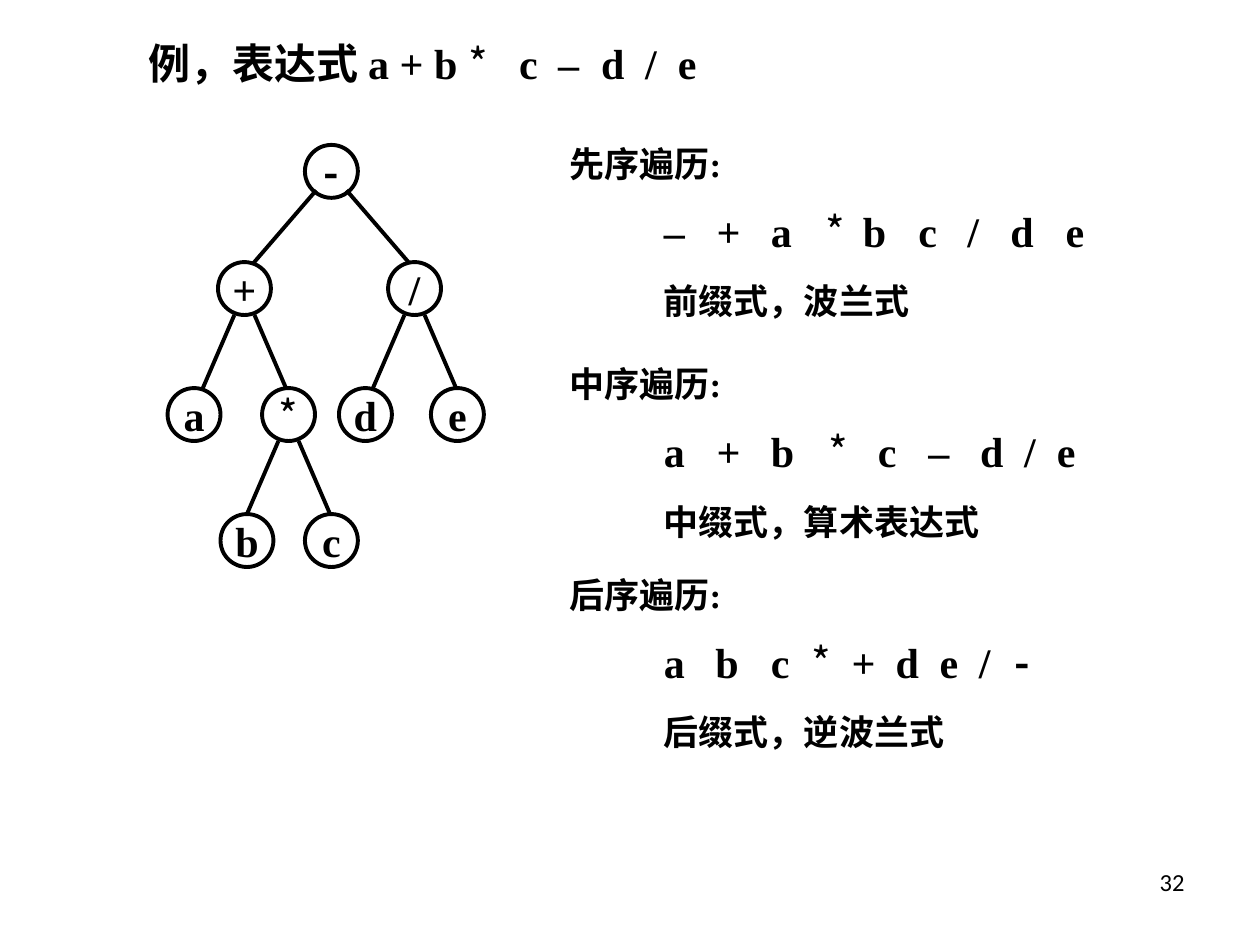
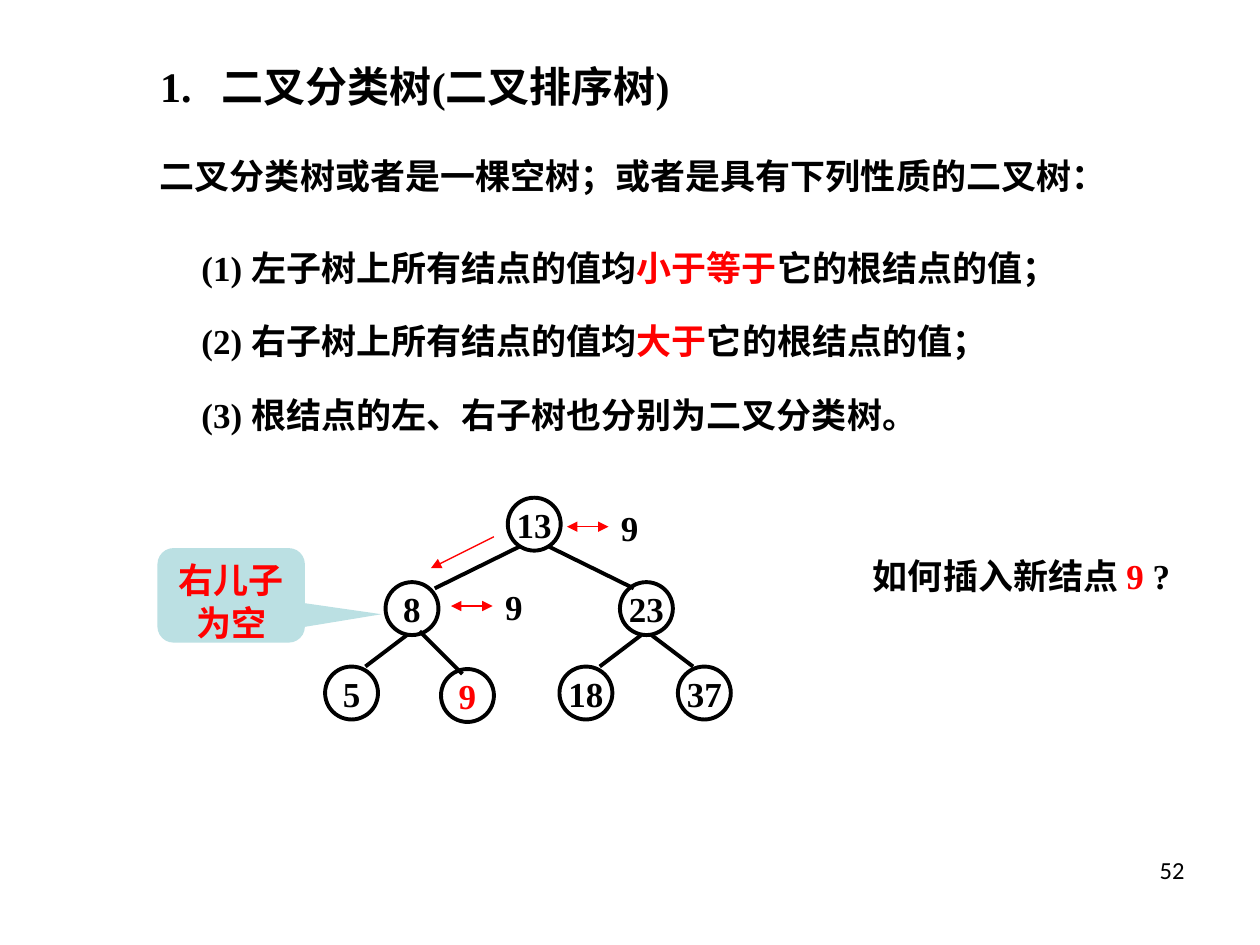
"""Build two slides on binary trees: expression traversals and binary sort trees."""
from dataclasses import dataclass

from lxml.etree import SubElement
from pptx import Presentation
from pptx.dml.color import RGBColor
from pptx.enum.shapes import MSO_CONNECTOR, MSO_SHAPE
from pptx.enum.text import MSO_ANCHOR, MSO_AUTO_SIZE, PP_ALIGN
from pptx.oxml.ns import qn
from pptx.util import Inches, Pt


@dataclass(frozen=True)
class Theme:
    ink: RGBColor = RGBColor(0, 0, 0)
    accent: RGBColor = RGBColor(255, 0, 0)
    paper: RGBColor = RGBColor(255, 255, 255)
    callout: RGBColor = RGBColor(0xBB, 0xE0, 0xE3)
    serif: str = "Times New Roman"
    sans: str = "Noto Sans CJK SC"
    number_font: str = "Calibri"
    title_size: int = 24
    body_size: int = 20
    number_size: int = 14
    tree_line: float = 2.25
    pointer_line: float = 0.75
    node_size: float = 0.42


THEME = Theme()
SANS = {"name": THEME.sans}
STAR = ("*", {"name": THEME.sans, "bold": False})
MINUS = ("-", SANS)
RED = {"color": THEME.accent}


def assign(target, values):
    for key, value in values.items():
        setattr(target, key, value)


def inches(*lengths):
    return [Inches(length) for length in lengths]


class Deck:
    def __init__(self, theme):
        self.theme = theme
        self.deck = Presentation()
        assign(self.deck, {"slide_width": Inches(10), "slide_height": Inches(7.5)})
        self.slide = None

    def start(self, title, title_box, number, number_top, stops=()):
        self.slide = self.deck.slides.add_slide(self.deck.slide_layouts[5])
        fill = self.slide.background.fill
        fill.solid()
        fill.fore_color.rgb = self.theme.paper
        heading = self.slide.shapes.title
        assign(heading, dict(zip(("left", "top", "width", "height"), inches(*title_box))))
        self.fill_text(heading, title, self.theme.title_size, stops=stops)
        self.text([(number, {"name": self.theme.number_font, "bold": False})],
                  (7.17, number_top, 2.33, 0.52), self.theme.number_size, PP_ALIGN.RIGHT)

    def fill_text(self, holder, runs, size, align=PP_ALIGN.LEFT, stops=(), **frame_format):
        frame = holder.text_frame
        assign(frame, {"word_wrap": True, "auto_size": MSO_AUTO_SIZE.NONE,
                       "vertical_anchor": MSO_ANCHOR.TOP, **frame_format})
        paragraph = frame.paragraphs[0]
        paragraph.alignment = align
        if stops:
            tabs = SubElement(paragraph._p.get_or_add_pPr(), qn("a:tabLst"))
            for stop in stops:
                SubElement(tabs, qn("a:tab"), pos=str(Inches(stop)), algn="l")
        for item in runs:
            words, changes = (item, {}) if isinstance(item, str) else item
            values = {"name": self.theme.serif, "size": Pt(size), "bold": True,
                      "color": self.theme.ink, **changes}
            run = paragraph.add_run()
            run.text = words
            run.font.color.rgb = values.pop("color")
            assign(run.font, values)
            SubElement(run._r.get_or_add_rPr(), qn("a:ea"), typeface=self.theme.sans)

    def text(self, runs, box, size=THEME.body_size, align=PP_ALIGN.LEFT, stops=()):
        holder = self.slide.shapes.add_textbox(*inches(*box))
        self.fill_text(holder, runs, size, align, stops)

    def line(self, start, end, color=THEME.ink, width=THEME.tree_line, ends=()):
        connector = self.slide.shapes.add_connector(
            MSO_CONNECTOR.STRAIGHT, *inches(*start, *end))
        connector.line.color.rgb = color
        connector.line.width = Pt(width)
        properties = connector._element.spPr
        for end_name in ends:
            SubElement(properties.find(qn("a:ln")), qn(f"a:{end_name}"), type="triangle")
        SubElement(properties, qn("a:effectLst"))

    def pointer(self, start, end, ends):
        self.line(start, end, self.theme.accent, self.theme.pointer_line, ends)

    def node(self, label, center, size):
        diameter = self.theme.node_size
        left, top = (middle - diameter / 2 for middle in center)
        circle = self.slide.shapes.add_shape(
            MSO_SHAPE.OVAL, *inches(left, top, diameter, diameter))
        circle.shadow.inherit = False
        circle.fill.background()
        circle.line.color.rgb = self.theme.ink
        circle.line.width = Pt(self.theme.tree_line)
        self.fill_text(circle, [label], size, PP_ALIGN.CENTER, word_wrap=False,
                       vertical_anchor=MSO_ANCHOR.MIDDLE, margin_left=0, margin_right=0,
                       margin_top=0, margin_bottom=0)

    def tree(self, nodes, branches, size):
        for label, center in nodes.values():
            self.node(label, center, size)
        for parent, sides, (offset, depth, run, drop) in branches:
            x, y = nodes[parent][1]
            for side in sides:
                start = (x + side * offset, y + depth)
                self.line(start, (start[0] + side * run, start[1] + drop))

    def callout(self, runs, box, adjustments):
        bubble = self.slide.shapes.add_shape(
            MSO_SHAPE.ROUNDED_RECTANGULAR_CALLOUT, *inches(*box))
        bubble.shadow.inherit = False
        for index, value in enumerate(adjustments):
            bubble.adjustments[index] = value
        bubble.fill.solid()
        bubble.fill.fore_color.rgb = self.theme.callout
        bubble.line.fill.background()
        self.fill_text(bubble, runs, self.theme.body_size, PP_ALIGN.CENTER)


def expression_slide(deck):
    deck.start(["例，表达式 a + b ", STAR, "\tc\t–\td\t/\te"], (1.08, 0.25, 6.58, 0.5),
               "32", 6.83, (2.94, 3.25, 3.59, 3.94, 4.2))
    nodes = {
        "minus": (MINUS, (2.63, 1.36)),
        "plus": ("+", (1.94, 2.29)),
        "divide": ("/", (3.29, 2.29)),
        "a": ("a", (1.54, 3.29)),
        "times": (STAR, (2.29, 3.29)),
        "d": ("d", (2.9, 3.29)),
        "e": ("e", (3.63, 3.29)),
        "b": ("b", (1.96, 4.29)),
        "c": ("c", (2.63, 4.29)),
    }
    both = (-1, 1)
    steep = (0.08, 0.21, 0.25, 0.58)
    branches = [("minus", both, (0.12, 0.15, 0.5, 0.58))]
    branches += [(parent, both, steep) for parent in ("plus", "divide", "times")]
    deck.tree(nodes, branches, THEME.title_size)

    traversals = [
        (1.08, "先序遍历:", ["–\t+\ta\t", STAR, "\tb\tc\t/\td\te"], "前缀式，波兰式",
         (0.42, 0.85, 1.28, 1.58, 2.02, 2.41, 2.75, 3.19)),
        (2.83, "中序遍历:", ["a\t+\tb\t", STAR, "\tc\t–\td\t/\te"], "中缀式，算术表达式",
         (0.42, 0.85, 1.31, 1.7, 2.1, 2.51, 2.86, 3.12)),
        (4.5, "后序遍历:", ["a\tb\tc\t", STAR, "\t+\td\te\t/\t", MINUS], "后缀式，逆波兰式",
         (0.41, 0.85, 1.17, 1.49, 1.84, 2.19, 2.5, 2.78)),
    ]
    for top, order, sequence, notation, stops in traversals:
        deck.text([order], (4.42, top, 1.75, 0.44))
        deck.text(sequence, (5.17, top + 0.5, 4.5, 0.5), THEME.title_size, stops=stops)
        deck.text([notation], (5.17, top + 1.09, 3.33, 0.44))


def sort_tree_slide(deck):
    deck.start(["1.\t二叉分类树(二叉排序树)"], (1.17, 0.43, 5.5, 0.5), "52", 6.74, (0.49,))
    deck.text([("二叉分类树或者是一棵空树；或者是具有下列性质的二叉树：", SANS)],
              (1.17, 1.18, 7.75, 0.44))
    red_sans = {**SANS, **RED}
    rest = ("它的根结点的值；", SANS)
    properties = [
        [("左子树上所有结点的值均", SANS), ("小于等于", red_sans), rest],
        [("右子树上所有结点的值均", SANS), ("大于", red_sans), rest],
        [("根结点的左、右子树也分别为二叉分类树。", SANS)],
    ]
    for index, wording in enumerate(properties):
        deck.text([f"({index + 1}) ", *wording], (1.5, 1.91 + 0.58 * index, 7.92, 0.44))

    nodes = {
        "13": ("13", (4.24, 4.16)),
        "8": ("8", (3.27, 4.83)),
        "23": ("23", (5.13, 4.83)),
        "5": ("5", (2.79, 5.5)),
        "9": (("9", RED), (3.71, 5.52)),
        "18": ("18", (4.65, 5.5)),
        "37": ("37", (5.59, 5.5)),
    }
    leaf_branch = (0.04, 0.21, 0.33, 0.25)
    branches = [
        ("13", (-1, 1), (0.12, 0.18, 0.67, 0.33)),
        ("8", (-1,), leaf_branch),
        ("8", (1,), (0.06, 0.18, 0.34, 0.34)),
        ("23", (-1, 1), leaf_branch),
    ]
    deck.tree(nodes, branches, THEME.body_size)

    for left, y in ((4.5, 4.18), (3.58, 4.81)):
        deck.pointer((left, y), (left + 0.33, y), ("headEnd", "tailEnd"))
        deck.text(["9"], (left + 0.33, y - 0.21, 0.42, 0.44))
    deck.pointer((3.92, 4.26), (3.42, 4.51), ("tailEnd",))
    deck.callout([("右儿子为空", RED)], (1.25, 4.35, 1.17, 0.75), (1.02, 0.2, 0.17))
    deck.text(["如何插入新结点 ", ("9 ", RED), "?"], (6.83, 4.35, 2.75, 0.44))


def main():
    deck = Deck(THEME)
    expression_slide(deck)
    sort_tree_slide(deck)
    deck.deck.save("out.pptx")


if __name__ == "__main__":
    main()
